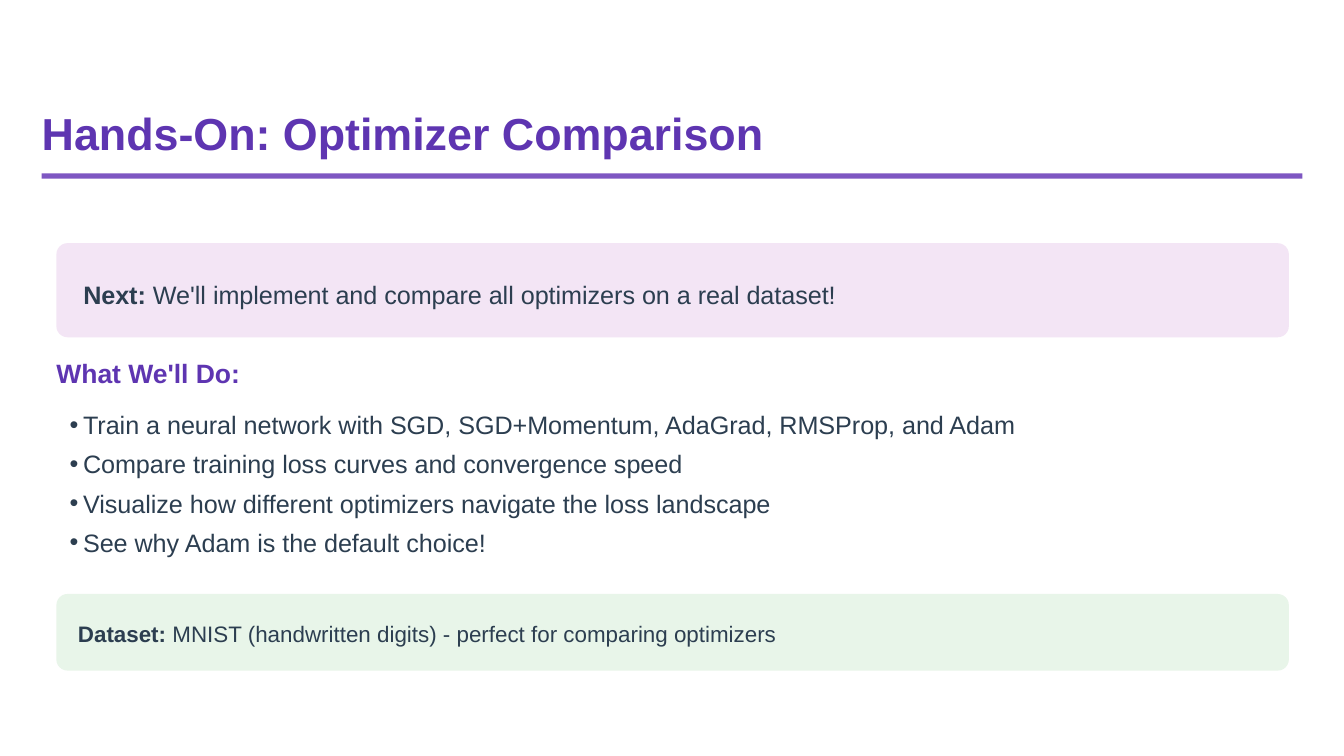
from typing import NamedTuple

from lxml.etree import SubElement
from pptx import Presentation
from pptx.dml.color import RGBColor
from pptx.enum.shapes import MSO_SHAPE
from pptx.oxml.ns import qn
from pptx.slide import Slide
from pptx.text.text import Font, TextFrame
from pptx.util import Inches, Pt

PURPLE = RGBColor(0x5E, 0x35, 0xB1)
RULE_PURPLE = RGBColor(0x7E, 0x57, 0xC2)
LILAC = RGBColor(0xF3, 0xE5, 0xF5)
MINT = RGBColor(0xE8, 0xF5, 0xE9)
INK = RGBColor(0x2C, 0x3E, 0x50)
WHITE = RGBColor(0xFF, 0xFF, 0xFF)

FONT = "Arial"
SLIDE_WIDTH = 10
SLIDE_HEIGHT = SLIDE_WIDTH * 9 / 16
CONTENT_LEFT = 0.42
CONTENT_WIDTH = 9.17
CORNER_RADIUS = 0.083
BULLET_INDENT = Inches(0.1)


class Box(NamedTuple):
    left: float
    top: float
    width: float
    height: float


class TextStyle(NamedTuple):
    size: float
    line_spacing: float
    color: RGBColor = INK


class Callout(NamedTuple):
    panel: Box
    fill: RGBColor
    text_box: Box
    label: str
    message: str
    style: TextStyle


class Heading(NamedTuple):
    box: Box
    text: str
    style: TextStyle


TITLE = Heading(Box(0.31, 0.85, 5.48, 0.33), "Hands-On: Optimizer Comparison",
                TextStyle(24, 24, PURPLE))
TASKS_HEADING = Heading(Box(CONTENT_LEFT, 2.67, 4.69, 0.22), "What We'll Do:",
                        TextStyle(14.2, 15.8, PURPLE))
NEXT_STEP = Callout(Box(CONTENT_LEFT, 1.81, CONTENT_WIDTH, 0.7), LILAC,
                    Box(0.62, 2.02, 8.93, 0.28), "Next:",
                    " We'll implement and compare all optimizers on a real dataset!",
                    TextStyle(13.5, 20.2))
DATASET = Callout(Box(CONTENT_LEFT, 4.42, CONTENT_WIDTH, 0.57), MINT,
                  Box(0.58, 4.58, 9.01, 0.23), "Dataset:",
                  " MNIST (handwritten digits) - perfect for comparing optimizers",
                  TextStyle(12, 16.8))
TASKS = [
    "Train a neural network with SGD, SGD+Momentum, AdaGrad, RMSProp, and Adam",
    "Compare training loss curves and convergence speed",
    "Visualize how different optimizers navigate the loss landscape",
    "See why Adam is the default choice!",
]


def add_panel(slide: Slide, box: Box, fill: RGBColor, rounded: bool = False) -> None:
    preset = MSO_SHAPE.ROUNDED_RECTANGLE if rounded else MSO_SHAPE.RECTANGLE
    panel = slide.shapes.add_shape(preset, *map(Inches, box))
    if rounded:
        panel.adjustments[0] = CORNER_RADIUS / box.height
    panel.shadow.inherit = False
    panel.fill.solid()
    panel.fill.fore_color.rgb = fill
    panel.line.fill.background()


def format_font(font: Font, style: TextStyle, bold: bool = False) -> None:
    font.name = FONT
    font.size = Pt(style.size)
    font.color.rgb = style.color
    font.bold = bold


def add_text(slide: Slide, box: Box, text: str, style: TextStyle,
             bold: bool = False) -> TextFrame:
    frame = slide.shapes.add_textbox(*map(Inches, box)).text_frame
    frame.word_wrap = True
    frame.margin_left = frame.margin_top = 0
    frame.margin_right = frame.margin_bottom = 0
    frame.text = text
    for paragraph in frame.paragraphs:
        paragraph.line_spacing = Pt(style.line_spacing)
        for run in paragraph.runs:
            format_font(run.font, style, bold)
    return frame


def add_heading(slide: Slide, heading: Heading) -> None:
    add_text(slide, heading.box, heading.text, heading.style, bold=True)


def add_callout(slide: Slide, callout: Callout) -> None:
    add_panel(slide, callout.panel, callout.fill, rounded=True)
    frame = add_text(slide, callout.text_box, callout.label, callout.style, bold=True)
    message = frame.paragraphs[0].add_run()
    message.text = callout.message
    format_font(message.font, callout.style)


def add_bullets(slide: Slide, box: Box, items: list[str], style: TextStyle) -> None:
    frame = add_text(slide, box, "\n".join(items), style)
    frame.margin_left = BULLET_INDENT
    for paragraph in frame.paragraphs:
        properties = paragraph._p.get_or_add_pPr()
        properties.set("marL", str(BULLET_INDENT))
        properties.set("indent", str(-BULLET_INDENT))
        SubElement(properties, qn("a:buSzPct")).set("val", "100000")
        SubElement(properties, qn("a:buFont")).set("typeface", FONT)
        SubElement(properties, qn("a:buChar")).set("char", "•")
        format_font(paragraph.font, style)


def main() -> None:
    presentation = Presentation()
    presentation.slide_width = Inches(SLIDE_WIDTH)
    presentation.slide_height = Inches(SLIDE_HEIGHT)
    slide = presentation.slides.add_slide(presentation.slide_layouts[6])
    slide.background.fill.solid()
    slide.background.fill.fore_color.rgb = WHITE

    add_heading(slide, TITLE)
    add_panel(slide, Box(0.31, 1.29, 9.38, 0.04), RULE_PURPLE)
    add_callout(slide, NEXT_STEP)
    add_heading(slide, TASKS_HEADING)
    add_bullets(slide, Box(CONTENT_LEFT, 2.98, CONTENT_WIDTH, 1.29),
                TASKS, TextStyle(13.5, 21))
    add_callout(slide, DATASET)
    presentation.save("out.pptx")


if __name__ == "__main__":
    main()
